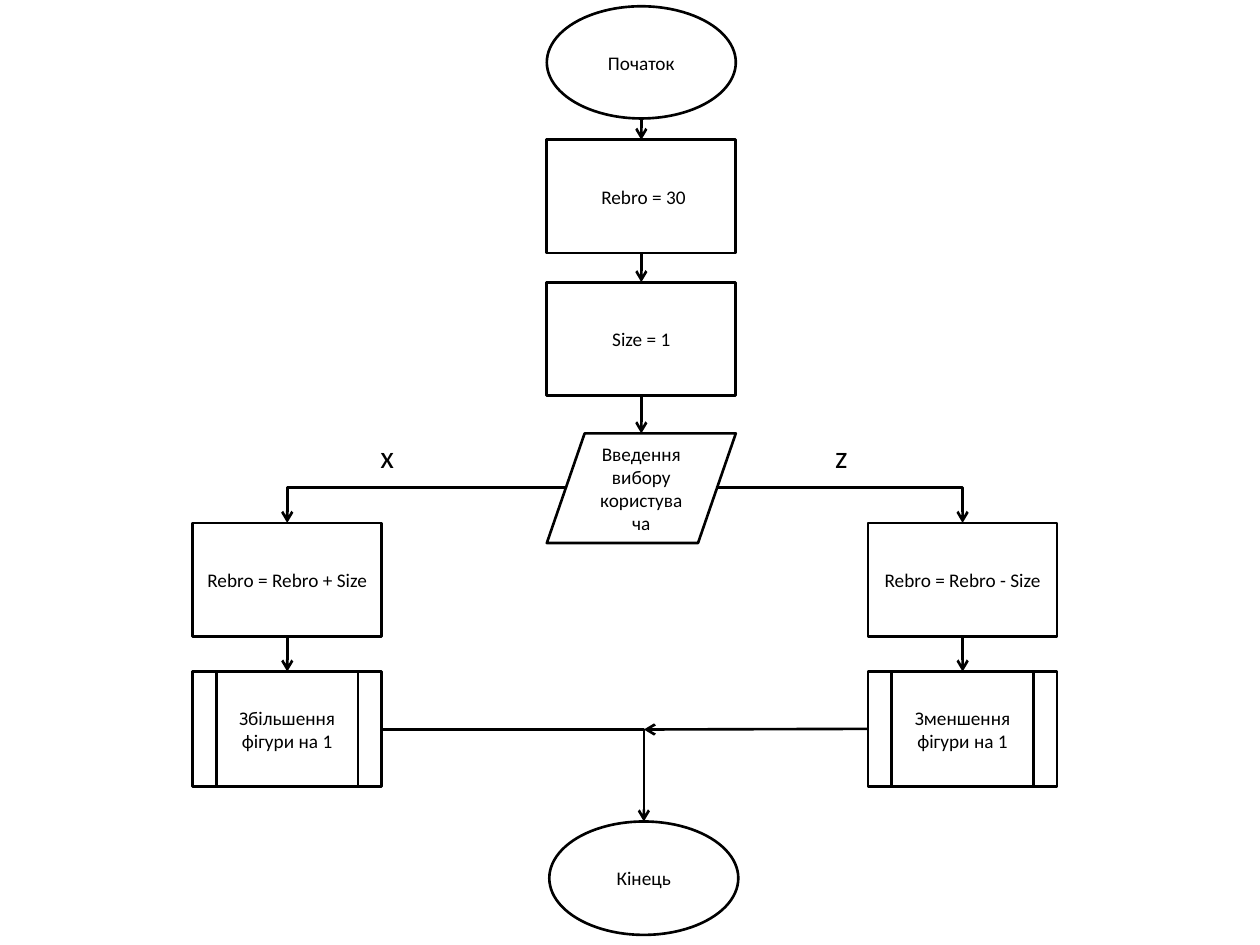
from lxml import etree
from pptx import Presentation
from pptx.dml.color import RGBColor
from pptx.enum import shapes as s, text as t
from pptx.oxml import ns
from pptx.util import Inches, Pt

TOP, LEFT, BOTTOM = 0, 1, 2
BOX_WIDTH, BOX_HEIGHT = 1.5, 0.9


def colour(value):
    return RGBColor.from_string(value)


class Flowchart:
    font_name = "Calibri"
    ink = "000000"
    line_width = 1.5

    def __init__(self, slide):
        self.slide = slide

    def style_line(self, line):
        line.color.rgb = colour(self.ink)
        line.width = Pt(self.line_width)

    def style_text(self, paragraph, size):
        paragraph.font.name = self.font_name
        paragraph.font.size = Pt(size)
        paragraph.font.color.rgb = colour(self.ink)

    def block(self, kind, left, top, words, height=BOX_HEIGHT):
        shape = self.slide.shapes.add_shape(
            kind, Inches(left), Inches(top), Inches(BOX_WIDTH), Inches(height))
        shape.shadow.inherit = False
        shape.fill.background()
        self.style_line(shape.line)
        frame = shape.text_frame
        frame.word_wrap = True
        frame.vertical_anchor = t.MSO_ANCHOR.MIDDLE
        paragraph = frame.paragraphs[0]
        paragraph.text = words
        paragraph.alignment = t.PP_ALIGN.CENTER
        self.style_text(paragraph, 11)
        return shape

    def label(self, left, top, words):
        shape = self.slide.shapes.add_textbox(
            Inches(left), Inches(top), Inches(0.35), Inches(0.4))
        shape.text_frame.word_wrap = True
        paragraph = shape.text_frame.paragraphs[0]
        paragraph.text = words
        self.style_text(paragraph, 18)

    def arrow(self, start, end, source=None, target=None, bent=False):
        """Draw an arrow; source and target are (shape, side) pairs to join.

        A bent arrow runs across first, then down.
        """
        kind = s.MSO_CONNECTOR.ELBOW if bent else s.MSO_CONNECTOR.STRAIGHT
        connector = self.slide.shapes.add_connector(
            kind, *(Inches(length) for length in (*start, *end)))
        if source:
            connector.begin_connect(*source)
        if target:
            connector.end_connect(*target)
        self.style_line(connector.line)
        properties = connector._element.spPr
        if bent:
            properties.find(ns.qn("a:prstGeom")).set("prst", "bentConnector2")
        etree.SubElement(connector.line._get_or_add_ln(), ns.qn("a:tailEnd"), type="arrow")
        etree.SubElement(properties, ns.qn("a:effectLst"))


def main():
    presentation = Presentation()
    presentation.slide_width, presentation.slide_height = Inches(10), Inches(7.5)
    chart = Flowchart(presentation.slides.add_slide(presentation.slide_layouts[6]))
    kinds = s.MSO_SHAPE

    # Main column
    column = 4.34
    centre = column + BOX_WIDTH / 2
    chart.block(kinds.OVAL, column, 0.05, "Початок", 0.89)
    rebro = chart.block(kinds.RECTANGLE, column, 1.11, " Rebro = 30")
    size = chart.block(kinds.RECTANGLE, column, 2.24, "Size = 1")
    chart.block(kinds.FLOWCHART_DATA, column, 3.44, "Введення вибору користувача", 0.87)
    chart.arrow((centre, 0.94), (centre, 1.11), target=(rebro, TOP))
    chart.arrow((centre, 2.01), (centre, 2.24), (rebro, BOTTOM), (size, TOP))
    chart.arrow((centre, 3.14), (centre, 3.44), (size, BOTTOM))

    # Branches: key, label left, column left, choice exit, step, result
    branches = [
        ("x", 2.92, 1.53, 4.49, "Rebro = Rebro + Size", "Збільшення фігури на 1"),
        ("z", 6.53, 6.89, 5.68, "Rebro = Rebro - Size", "Зменшення фігури на 1"),
    ]
    results = {}
    for key, label_left, left, exit_x, step_words, result_words in branches:
        middle = left + BOX_WIDTH / 2
        step = chart.block(kinds.RECTANGLE, left, 4.15, step_words)
        result = chart.block(
            kinds.FLOWCHART_PREDEFINED_PROCESS, left, 5.33, result_words, 0.91)
        chart.label(label_left, 3.42, key)
        chart.arrow((exit_x, 3.87), (middle, 4.15), bent=True)
        chart.arrow((middle, 5.05), (middle, 5.33), (step, BOTTOM), (result, TOP))
        results[key] = result

    # Both branches meet above the end
    end_left, end_top, merge_y = 4.36, 6.52, 5.79
    end_centre = end_left + BOX_WIDTH / 2
    chart.block(kinds.OVAL, end_left, end_top, "Кінець")
    chart.arrow((1.53 + BOX_WIDTH, merge_y), (end_centre, end_top), bent=True)
    chart.arrow((6.89, merge_y), (end_centre, merge_y), (results["z"], LEFT))

    presentation.save("out.pptx")


if __name__ == "__main__":
    main()
